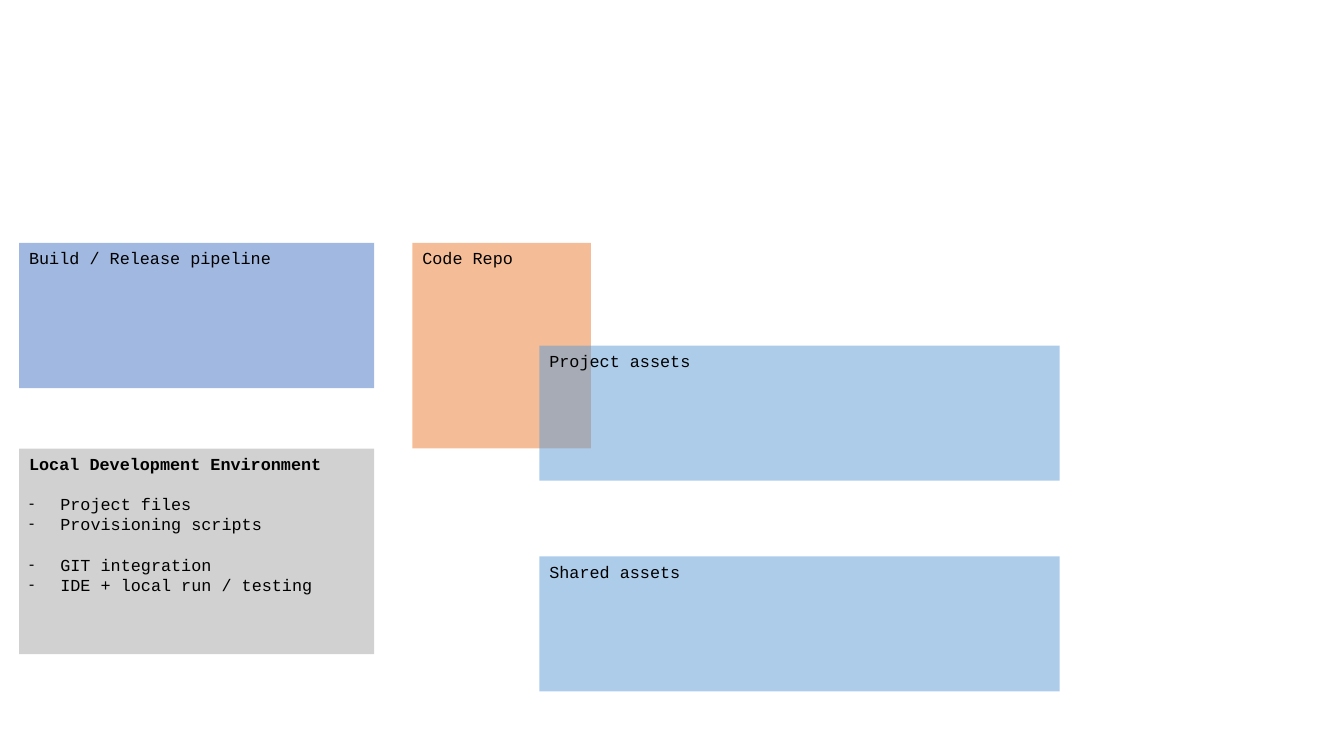
from dataclasses import dataclass

from lxml import etree
from pptx import Presentation
from pptx import util as u
from pptx.dml.color import RGBColor
from pptx.enum import shapes, text
from pptx.oxml.ns import qn

PX = u.Inches(1) // 100


@dataclass(frozen=True)
class Theme:
    font: str = "Courier New"
    bullet_font: str = "Calibri"
    size: float = 12
    group_gap: float = 14.5
    ink: str = "000000"
    grey: str = "A5A5A5"
    orange: str = "ED7D31"
    blue: str = "4472C4"
    sky: str = "5B9BD5"
    opacity: int = 50


THEME = Theme()


@dataclass(frozen=True)
class Box:
    title: str
    left: int
    top: int
    width: int
    height: int
    color: str
    bold: bool = False
    groups: tuple[tuple[str, ...], ...] = ()


LEFT_COL, REPO_COL, ASSET_COL = 19, 409, 535
TOP_ROW, LOCAL_ROW = 241, 445
LEFT_W, ASSET_W = 352, 516
TALL, ASSET_H = 204, 134

BOXES = (
    Box("Local Development Environment", LEFT_COL, LOCAL_ROW, LEFT_W, TALL, THEME.grey, bold=True,
        groups=(("Project files", "Provisioning scripts"),
                ("GIT integration", "IDE + local run / testing"))),
    Box("Code Repo", REPO_COL, TOP_ROW, 177, TALL, THEME.orange),
    Box("Build / Release pipeline", LEFT_COL, TOP_ROW, LEFT_W, 144, THEME.blue),
    Box("Project assets", ASSET_COL, 343, ASSET_W, ASSET_H, THEME.sky),
    Box("Shared assets", ASSET_COL, 552, ASSET_W, ASSET_H, THEME.sky),
)


def write(p, content: str, *, bold: bool = False, bullet: bool = False, before: float = 0) -> None:
    """Fill a paragraph with one formatted run, optionally as a dash item."""
    p.alignment = text.PP_ALIGN.LEFT
    p.space_before = u.Pt(before)
    r = p.add_run()
    r.text = content
    r.font.name = THEME.font
    r.font.size = u.Pt(THEME.size)
    r.font.bold = bold
    r.font.color.rgb = RGBColor.from_string(THEME.ink)
    if bullet:
        props = p._p.get_or_add_pPr()
        indent = 31 * PX
        props.set("marL", str(indent))
        props.set("indent", str(-indent))
        etree.SubElement(props, qn("a:buFont"), typeface=THEME.bullet_font)
        etree.SubElement(props, qn("a:buChar"), char="-")


def fill_translucent(sp, color: str) -> None:
    sp.fill.solid()
    sp.fill.fore_color.rgb = RGBColor.from_string(color)
    rgb = sp._element.spPr.find(qn("a:solidFill")).find(qn("a:srgbClr"))
    etree.SubElement(rgb, qn("a:alpha"), val=str(THEME.opacity * 1000))


def draw_box(s, box: Box) -> None:
    sp = s.shapes.add_shape(shapes.MSO_SHAPE.RECTANGLE, box.left * PX, box.top * PX,
                            box.width * PX, box.height * PX)
    sp.shadow.inherit = False
    sp.line.fill.background()
    fill_translucent(sp, box.color)
    tf = sp.text_frame
    tf.word_wrap = True
    tf.vertical_anchor = text.MSO_ANCHOR.TOP
    write(tf.paragraphs[0], box.title, bold=box.bold)
    for group in box.groups:
        for i, item in enumerate(group):
            write(tf.add_paragraph(), item, bullet=True, before=0 if i else THEME.group_gap)


def main() -> None:
    prs = Presentation()
    prs.slide_width, prs.slide_height = 1333 * PX, 750 * PX
    s = prs.slides.add_slide(prs.slide_layouts[6])
    for box in BOXES:
        draw_box(s, box)
    prs.save("out.pptx")


if __name__ == "__main__":
    main()
